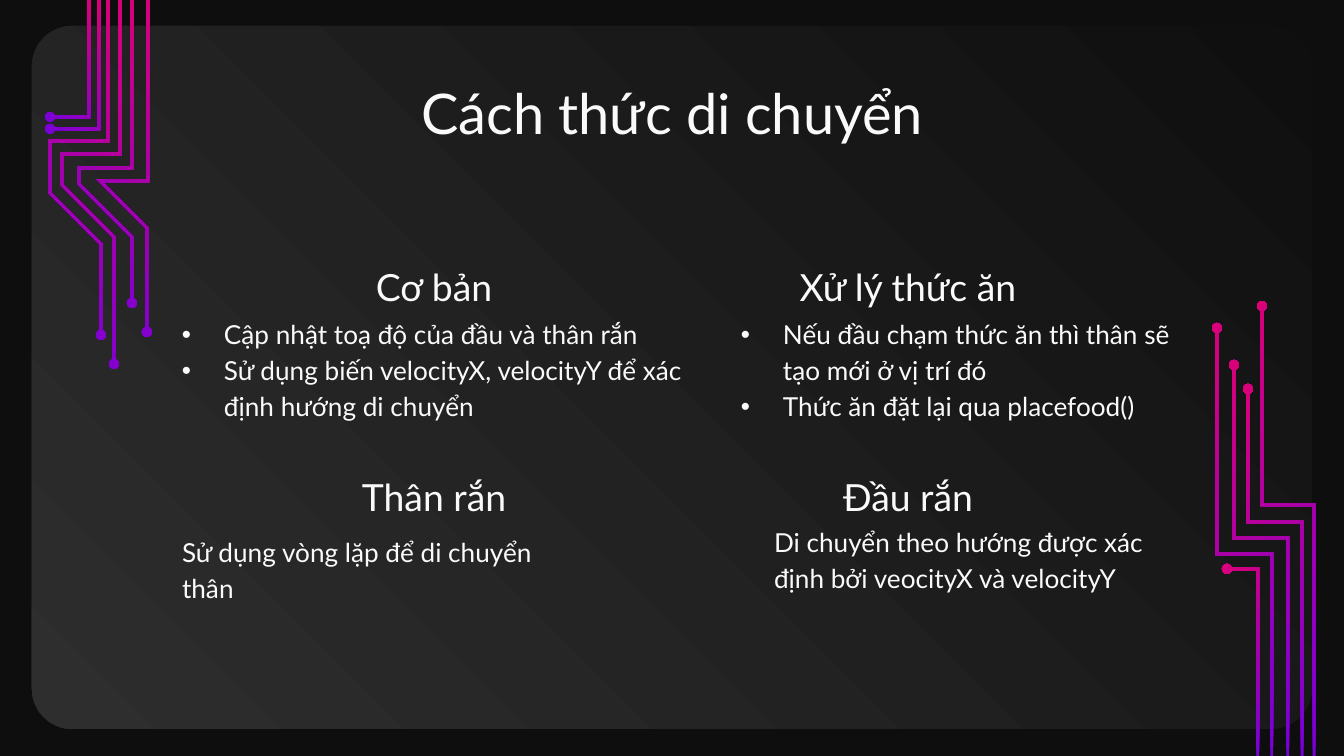
import math
from dataclasses import dataclass

from lxml import etree
from pptx import Presentation
from pptx.dml.color import RGBColor
from pptx.enum.shapes import MSO_SHAPE
from pptx.enum.text import MSO_ANCHOR, PP_ALIGN
from pptx.oxml.ns import qn
from pptx.util import Pt

ROUNDED = MSO_SHAPE.ROUNDED_RECTANGLE
LEFT, CENTER = PP_ALIGN.LEFT, PP_ALIGN.CENTER
TOP, BOTTOM = MSO_ANCHOR.TOP, MSO_ANCHOR.BOTTOM
EMU_PER_PX = 914400 / 134.4
SLIDE_W, SLIDE_H = 1344, 756
INSET, BULLET_INDENT = 13, 42
TRACE_WIDTH, DOT_RADIUS, DOT_STEPS = 3, 5, 20


@dataclass(frozen=True)
class Theme:
    font: str = "Lato"
    background: str = "0E0E0E"
    card_dark: str = "0F0F0F"
    card_light: str = "2E2E2E"
    text: str = "FAFAFA"
    trace_cool: str = "7800DA"
    trace_hot: str = "DA0078"
    title_size: int = 30
    heading_size: int = 20
    body_size: int = 14


THEME = Theme()

# Each circuit trace runs from the slide edge to its dot.
LEFT_TRACES = [
    [(89, 0), (89, 117), (50, 117)],
    [(99, 0), (99, 129), (50, 129)],
    [(108, 0), (108, 141), (50, 141), (50, 193), (101, 244), (101, 335)],
    [(120, 0), (120, 154), (62, 154), (62, 185), (114, 237), (114, 364)],
    [(132, 0), (132, 168), (79, 168), (79, 184), (132, 237), (132, 303)],
    [(148, 0), (148, 181), (100, 181), (147, 228), (147, 332)],
]
RIGHT_TRACES = [
    [(1314, 756), (1314, 505), (1262, 505), (1262, 306)],
    [(1302, 756), (1302, 522), (1248, 522), (1248, 389)],
    [(1258, 756), (1258, 569), (1227, 569)],
    [(1288, 756), (1288, 538), (1234, 538), (1234, 365)],
    [(1272, 756), (1272, 554), (1217, 554), (1217, 328)],
]

# Heading, its box, body paragraphs, their box, bulleted or not.
TOPICS = [
    ("Cơ bản", (289, 237, 290, 85),
     ["Cập nhật toạ độ của đầu và thân rắn",
      "Sử dụng biến velocityX, velocityY để xác định hướng di chuyển"],
     (169, 301, 552, 98), True),
    ("Xử lý thức ăn", (763, 237, 290, 85),
     ["Nếu đầu chạm thức ăn thì thân sẽ tạo mới ở vị trí đó",
      "Thức ăn đặt lại qua placefood()"],
     (728, 301, 458, 98), True),
    ("Thân rắn", (289, 447, 290, 85),
     ["Sử dụng vòng lặp để di chuyển thân"],
     (169, 519, 410, 98), False),
    ("Đầu rắn", (763, 447, 290, 85),
     ["Di chuyển theo hướng được xác định bởi veocityX và velocityY"],
     (761, 509, 422, 98), False),
]


def px(length):
    return round(length * EMU_PER_PX)


def rgb(color):
    return RGBColor.from_string(color)


def fill_gradient(shape, start, end, angle):
    """Fill without outline or shadow; the angle is counter-clockwise."""
    shape.shadow.inherit = False
    shape.line.fill.background()
    shape.fill.gradient()
    shape.fill.gradient_angle = angle
    for stop, color in zip(shape.fill.gradient_stops, (start, end)):
        stop.color.rgb = rgb(color)


def add_card(slide):
    card = slide.shapes.add_shape(ROUNDED, px(32), px(26), px(1280), px(703))
    card.adjustments[0] = 0.057
    fill_gradient(card, THEME.card_dark, THEME.card_light, 225)


def offset_side(route, distance):
    """Shift a route sideways with mitred corners, leaving out its last point."""
    headings = [math.atan2(y2 - y1, x2 - x1)
                for (x1, y1), (x2, y2) in zip(route, route[1:])]
    side = []
    for (x, y), before, after in zip(route, headings[:1] + headings, headings):
        half_turn = math.remainder(after - before, math.tau) / 2
        reach = distance / math.cos(half_turn)
        normal = before + half_turn + math.pi / 2
        side.append((x + reach * math.cos(normal), y + reach * math.sin(normal)))
    return side


def dot_arc(route):
    """Points round the end dot, from one edge of the trace to the other."""
    (x1, y1), (x, y) = route[-2:]
    gap = math.asin(TRACE_WIDTH / 2 / DOT_RADIUS)
    start = math.atan2(y1 - y, x1 - x) - gap
    sweep = math.tau - 2 * gap
    angles = [start - sweep * step / DOT_STEPS for step in range(DOT_STEPS + 1)]
    return [(x + DOT_RADIUS * math.cos(a), y + DOT_RADIUS * math.sin(a))
            for a in angles]


def add_trace(slide, route, angle):
    half = TRACE_WIDTH / 2
    # The arc runs against the angle, so it begins on the positive side.
    outline = (offset_side(route, half) + dot_arc(route)
               + offset_side(route, -half)[::-1])
    points = [(px(x), px(y)) for x, y in outline]
    builder = slide.shapes.build_freeform(*points[0], scale=1.0)
    builder.add_line_segments(points[1:], close=True)
    fill_gradient(builder.convert_to_shape(),
                  THEME.trace_cool, THEME.trace_hot, angle)


def add_bullet(paragraph):
    properties = paragraph._p.get_or_add_pPr()
    properties.set("marL", str(px(BULLET_INDENT)))
    properties.set("indent", str(-px(BULLET_INDENT)))
    color = etree.SubElement(properties, qn("a:buClr"))
    etree.SubElement(color, qn("a:srgbClr"), val=THEME.text)
    etree.SubElement(properties, qn("a:buFont"), typeface="Arial")
    etree.SubElement(properties, qn("a:buChar"), char="•")


def add_text(slide, box, lines, *, size, align=LEFT, anchor=TOP,
             spacing=1.15, bulleted=False):
    frame = slide.shapes.add_textbox(*map(px, box)).text_frame
    frame.word_wrap = True
    frame.vertical_anchor = anchor
    frame.margin_left = frame.margin_right = px(INSET)
    frame.margin_top = frame.margin_bottom = px(INSET)
    frame.text = "\n".join(lines)
    for paragraph in frame.paragraphs:
        paragraph.alignment = align
        paragraph.line_spacing = spacing
        font = paragraph.runs[0].font
        font.name, font.size = THEME.font, Pt(size)
        font.color.rgb = rgb(THEME.text)
        if bulleted:
            add_bullet(paragraph)


def main():
    deck = Presentation()
    deck.slide_width, deck.slide_height = px(SLIDE_W), px(SLIDE_H)
    slide = deck.slides.add_slide(deck.slide_layouts[6])
    slide.background.fill.solid()
    slide.background.fill.fore_color.rgb = rgb(THEME.background)

    add_card(slide)
    add_text(slide, (106, 66, 1133, 85), ["Cách thức di chuyển"],
             size=THEME.title_size, align=CENTER, spacing=1.0)
    for heading, heading_box, body, body_box, bulleted in TOPICS:
        add_text(slide, body_box, body, size=THEME.body_size, bulleted=bulleted)
        add_text(slide, heading_box, [heading], size=THEME.heading_size,
                 align=CENTER, anchor=BOTTOM)
    for traces, angle in ((RIGHT_TRACES, 135), (LEFT_TRACES, 45)):
        for route in traces:
            add_trace(slide, route, angle)
    deck.save("out.pptx")


if __name__ == "__main__":
    main()
